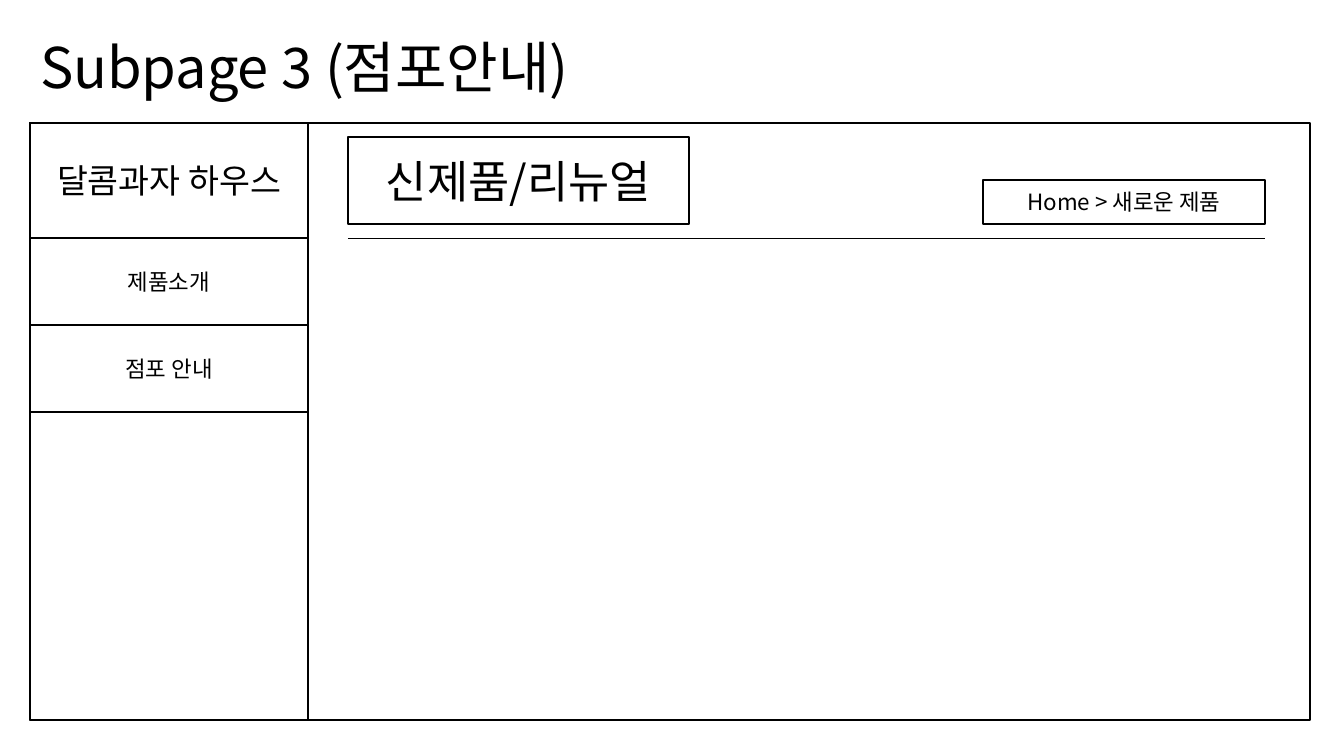
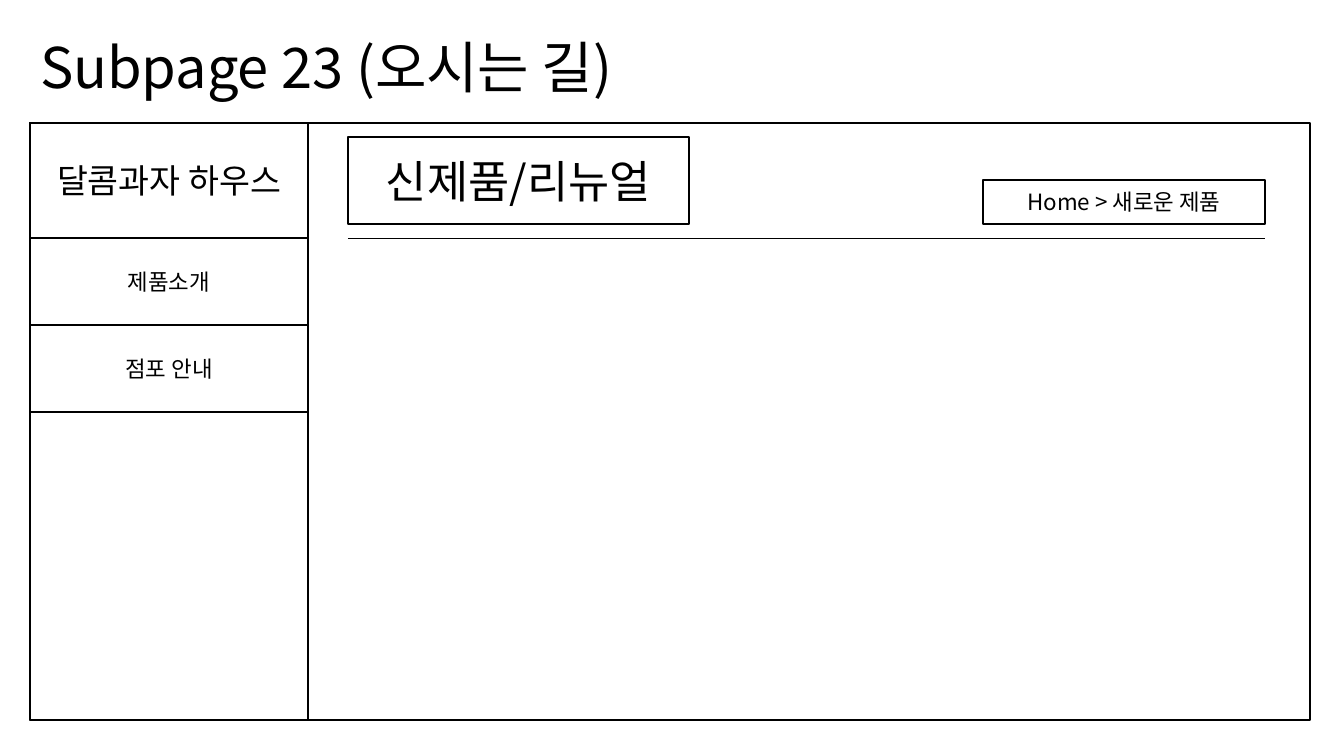
from lxml.etree import SubElement
from pptx import Presentation
from pptx.dml.color import RGBColor
from pptx.enum.shapes import MSO_CONNECTOR, MSO_SHAPE
from pptx.enum.text import MSO_ANCHOR, MSO_AUTO_SIZE, PP_ALIGN
from pptx.oxml.ns import qn
from pptx.util import Pt

# Content
PAGES = [("Subpage 3 (점포안내)", 577), ("Subpage 23 (오시는 길)", 627)]  # title, width
SITE_NAME = "달콤과자 하우스"
MENU = ["제품소개", "점포 안내"]
HEADING = "신제품/리뉴얼"
BREADCRUMB = "Home > 새로운 제품"

# Style and layout, in pixels
FONT = "Noto Sans CJK KR"
INK = "000000"
LEFT, TOP = 30, 123
FRAME_WIDTH, FRAME_HEIGHT = 1280, 597
SIDE_WIDTH, SITE_HEIGHT, MENU_HEIGHT = 278, 115, 87
CONTENT_LEFT, CONTENT_RIGHT = 348, 1265
HEADING_TOP, HEADING_WIDTH, HEADING_HEIGHT = 137, 341, 87
CRUMB_WIDTH, CRUMB_HEIGHT = 282, 44


def px(pixels):
    """Turn pixels into EMU."""
    return round(pixels * 914400 / 100.8)


def color(value):
    """Turn a hex string into a colour."""
    return RGBColor.from_string(value)


def write(shape, text, size=16, align=PP_ALIGN.CENTER, anchor=MSO_ANCHOR.MIDDLE, wrap=True):
    """Put formatted text into a shape."""
    frame = shape.text_frame
    frame.word_wrap = wrap
    frame.vertical_anchor = anchor
    paragraph = frame.paragraphs[0]
    paragraph.alignment = align
    run = paragraph.add_run()
    run.text = text
    run.font.size = Pt(size)
    run.font.color.rgb = color(INK)
    run.font.name = FONT
    SubElement(run.font._element, qn("a:ea"), typeface=FONT)


def add_box(slide, left, top, width, height, text=None, **style):
    """Add an outlined box, with text if given."""
    box = slide.shapes.add_shape(MSO_SHAPE.RECTANGLE, *map(px, (left, top, width, height)))
    box.shadow.inherit = False
    box.fill.background()
    box.line.color.rgb = color(INK)
    box.line.width = Pt(1)
    if text:
        write(box, text, **style)


def add_rule(slide, left, right, y):
    """Add a thin horizontal line."""
    rule = slide.shapes.add_connector(MSO_CONNECTOR.STRAIGHT, *map(px, (left, y, right, y)))
    rule.line.color.rgb = color(INK)
    rule.line.width = Pt(0.5)
    SubElement(rule._element.spPr, qn("a:effectLst"))


def add_title(slide, text, width):
    """Place and fill the title placeholder."""
    title = slide.shapes.title
    title.left, title.top, title.width, title.height = map(px, (LEFT, 27, width, 78))
    write(title, text, size=40, align=PP_ALIGN.LEFT, anchor=MSO_ANCHOR.TOP, wrap=False)
    title.text_frame.auto_size = MSO_AUTO_SIZE.SHAPE_TO_FIT_TEXT


def add_sidebar(slide):
    """Add the side column with the site name and menu."""
    menu_top = TOP + SITE_HEIGHT
    add_box(slide, LEFT, TOP, SIDE_WIDTH, FRAME_HEIGHT)
    add_box(slide, LEFT, TOP, SIDE_WIDTH, SITE_HEIGHT, SITE_NAME, size=24)
    for row, entry in enumerate(MENU):
        add_box(slide, LEFT, menu_top + row * MENU_HEIGHT, SIDE_WIDTH, MENU_HEIGHT, entry)


def add_header(slide):
    """Add the page heading, its rule and the breadcrumb."""
    heading_bottom = HEADING_TOP + HEADING_HEIGHT
    add_box(slide, CONTENT_LEFT, HEADING_TOP, HEADING_WIDTH, HEADING_HEIGHT, HEADING, size=32)
    add_rule(slide, CONTENT_LEFT, CONTENT_RIGHT, TOP + SITE_HEIGHT)
    add_box(slide, CONTENT_RIGHT - CRUMB_WIDTH, heading_bottom - CRUMB_HEIGHT,
            CRUMB_WIDTH, CRUMB_HEIGHT, BREADCRUMB)


deck = Presentation()
deck.slide_width, deck.slide_height = px(1344), px(756)
title_only = deck.slide_layouts[5]
for page_title, title_width in PAGES:
    page = deck.slides.add_slide(title_only)
    add_title(page, page_title, title_width)
    add_box(page, LEFT, TOP, FRAME_WIDTH, FRAME_HEIGHT)
    add_sidebar(page)
    add_header(page)
deck.save("out.pptx")
